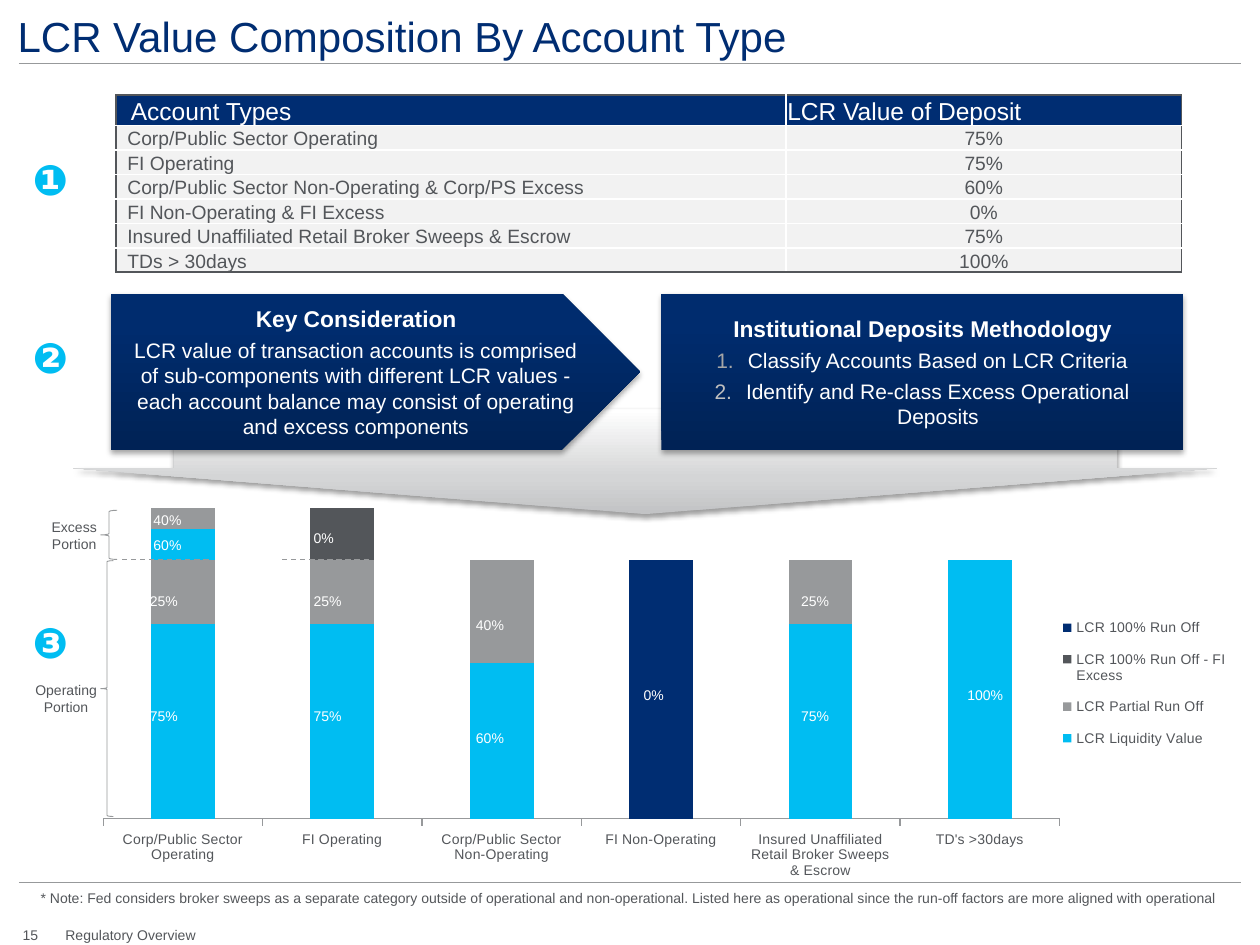
from dataclasses import dataclass
from typing import Any

from pptx import Presentation
from pptx.chart.data import CategoryChartData
from pptx.dml.color import RGBColor
from pptx.enum.chart import XL_CHART_TYPE, XL_LEGEND_POSITION, XL_TICK_LABEL_POSITION, XL_TICK_MARK
from pptx.enum.dml import MSO_LINE
from pptx.enum.shapes import MSO_CONNECTOR, MSO_SHAPE
from pptx.enum.text import MSO_ANCHOR, PP_ALIGN
from pptx.oxml import parse_xml
from pptx.oxml.ns import nsdecls, qn
from pptx.util import Pt

NAVY, CYAN, GRAY, SLATE, WHITE, PALE = "002D72", "00BDF2", "97999B", "53565A", "FFFFFF", "F2F2F2"
PANEL_STOPS = [(0, "002255"), (80, "002C6E"), (100, "002C6F")]
ARROW_STOPS = [(0, "C2C3C5"), (35, "D4D5D6"), (100, WHITE)]


@dataclass
class Label:
    text: str
    left: float
    top: float
    width: float
    height: float
    size: float = 8
    color: str = SLATE
    bold: bool = False
    align: Any = PP_ALIGN.CENTER
    inset: float = 3.6
    wrap: bool = True


@dataclass
class Rule:
    left: float
    right: float
    top: float
    width: float = 0.5
    dashed: bool = False


@dataclass
class Series:
    name: str
    values: list
    color: str


def rgb(color: str) -> RGBColor:
    return RGBColor.from_string(color)


def style(para: Any, size: float, color: str, bold: bool = False, align: Any = PP_ALIGN.CENTER) -> None:
    para.alignment = align
    for span in para.runs:
        span.font.name = "Arial"
        span.font.size = Pt(size)
        span.font.bold = bold
        span.font.color.rgb = rgb(color)


def add_label(page: Any, label: Label) -> None:
    box = page.shapes.add_textbox(Pt(label.left), Pt(label.top), Pt(label.width), Pt(label.height))
    frame = box.text_frame
    frame.text = label.text
    frame.word_wrap = label.wrap
    frame.margin_left = frame.margin_right = 0
    frame.margin_top = frame.margin_bottom = Pt(label.inset)
    style(frame.paragraphs[0], label.size, label.color, label.bold, label.align)


def add_rule(page: Any, rule: Rule) -> None:
    line = page.shapes.add_connector(
        MSO_CONNECTOR.STRAIGHT, Pt(rule.left), Pt(rule.top), Pt(rule.right), Pt(rule.top))
    line.line.color.rgb = rgb(GRAY)
    line.line.width = Pt(rule.width)
    if rule.dashed:
        line.line.dash_style = MSO_LINE.DASH
    line._element.spPr.append(parse_xml(f"<a:effectLst {nsdecls('a')}/>"))


def add_panel(page: Any, kind: Any, bounds: tuple, stops: list, opacity: int) -> Any:
    panel = page.shapes.add_shape(kind, *map(Pt, bounds))
    panel.line.fill.background()
    panel.fill.gradient()
    panel.fill.gradient_angle = 90
    properties = panel._element.spPr
    stop_list = properties.find(qn("a:gradFill")).find(qn("a:gsLst"))
    for stop in list(stop_list):
        stop_list.remove(stop)
    for position, color in stops:
        stop_list.append(parse_xml(
            f'<a:gs {nsdecls("a")} pos="{position * 1000}"><a:srgbClr val="{color}"/></a:gs>'))
    panel.shadow.inherit = False
    properties.find(qn("a:effectLst")).append(parse_xml(
        f'<a:outerShdw {nsdecls("a")} blurRad="{Pt(3.1)}" dist="{Pt(1.7)}" dir="5400000" '
        f'rotWithShape="0"><a:srgbClr val="000000"><a:alpha val="{opacity * 1000}"/>'
        '</a:srgbClr></a:outerShdw>'))
    return panel


def write_panel(panel: Any, heading: str, lines: list[str], bullet_colors: list[str]) -> None:
    frame = panel.text_frame
    frame.word_wrap = True
    frame.vertical_anchor = MSO_ANCHOR.MIDDLE
    frame.text = "\n".join([heading, *lines])
    for index, para in enumerate(frame.paragraphs):
        style(para, 12 if index else 13, WHITE, index == 0)
        para.space_before = Pt(3)
    for para, color in zip(frame.paragraphs[1:], bullet_colors):
        properties = para._p.get_or_add_pPr()
        properties.set("marL", str(Pt(18)))
        properties.set("indent", str(-Pt(18)))
        properties.append(parse_xml(f'<a:buClr {nsdecls("a")}><a:srgbClr val="{color}"/></a:buClr>'))
        properties.append(parse_xml(f'<a:buAutoNum {nsdecls("a")} type="arabicPeriod"/>'))


def add_brace(page: Any, bounds: tuple) -> None:
    brace = page.shapes.add_shape(MSO_SHAPE.LEFT_BRACE, *map(Pt, bounds))
    brace.shadow.inherit = False
    brace.fill.background()
    brace.line.color.rgb = rgb(GRAY)
    brace.line.width = Pt(0.5)


def add_account_table(page: Any, rows: list[tuple[str, str]]) -> None:
    table = page.shapes.add_table(len(rows), 2, Pt(66.2), Pt(54.2), Pt(609.1), Pt(101.4)).table
    table.columns[0].width, table.columns[1].width = Pt(383), Pt(226.1)
    last = len(rows) - 1
    for row_index, values in enumerate(rows):
        header = row_index == 0
        table.rows[row_index].height = Pt(17.4 if header else 14)
        for column, value in enumerate(values):
            cell = table.cell(row_index, column)
            cell.text = value
            cell.vertical_anchor = MSO_ANCHOR.BOTTOM
            cell.margin_left = Pt((8.6 if header else 6.6) if column == 0 else 0.7)
            cell.margin_right = cell.margin_top = Pt(0.7)
            cell.margin_bottom = 0
            cell.fill.solid()
            cell.fill.fore_color.rgb = rgb(NAVY if header else PALE)
            align = PP_ALIGN.CENTER if column and not header else PP_ALIGN.LEFT
            style(cell.text_frame.paragraphs[0], 14 if header else 11, WHITE if header else SLATE, align=align)
            outer = {"L": column == 0, "R": column == 1, "T": header, "B": row_index == last}
            for place, (side, dark) in enumerate(outer.items()):
                cell._tc.get_or_add_tcPr().insert(place, parse_xml(
                    f'<a:ln{side} {nsdecls("a")} w="{Pt(1)}"><a:solidFill>'
                    f'<a:srgbClr val="{SLATE if dark else WHITE}"/></a:solidFill></a:ln{side}>'))


def layout_xml(x: float, y: float, width: float, height: float, target: str = "") -> Any:
    return parse_xml(
        f'<c:layout {nsdecls("c")}><c:manualLayout>{target}<c:xMode val="edge"/><c:yMode val="edge"/>'
        f'<c:x val="{x}"/><c:y val="{y}"/><c:w val="{width}"/><c:h val="{height}"/>'
        '</c:manualLayout></c:layout>')


def add_composition_chart(page: Any, categories: list[str], series: list[Series]) -> None:
    data = CategoryChartData()
    data.categories = categories
    for item in series:
        data.add_series(item.name, item.values)
    chart = page.shapes.add_chart(
        XL_CHART_TYPE.COLUMN_STACKED, Pt(47.5), Pt(249.8), Pt(673.9), Pt(252), data).chart
    chart.has_title = False
    chart.font.name, chart.font.size = "Arial", Pt(8)
    chart.font.color.rgb = rgb(SLATE)
    plot = chart.plots[0]
    plot.gap_width, plot.overlap, plot.vary_by_categories = 150, 100, False
    for drawn, item in zip(plot.series, series):
        drawn.format.fill.solid()
        drawn.format.fill.fore_color.rgb = rgb(item.color)
    chart.value_axis.minimum_scale, chart.value_axis.maximum_scale = 0, 140
    chart.value_axis.has_major_gridlines = False
    chart.value_axis.visible = False
    axis = chart.category_axis
    axis.major_tick_mark = XL_TICK_MARK.OUTSIDE
    axis.tick_label_position = XL_TICK_LABEL_POSITION.LOW
    axis.format.line.color.rgb = rgb(GRAY)
    chart.has_legend = True
    legend = chart.legend
    legend.position = XL_LEGEND_POSITION.RIGHT
    legend.include_in_layout = False
    position = legend._element.find(qn("c:legendPos"))
    for old in legend._element.findall(qn("c:layout")):
        legend._element.remove(old)
    position.addnext(layout_xml(0.82, 0.38, 0.16, 0.36))
    for index in (3, 2):
        position.addnext(parse_xml(
            f'<c:legendEntry {nsdecls("c")}><c:idx val="{index}"/><c:delete val="1"/></c:legendEntry>'))
    area = chart._chartSpace.chart.plotArea
    for old in area.findall(qn("c:layout")):
        area.remove(old)
    area.insert(0, layout_xml(0.017, 0.044, 0.811, 0.825, '<c:layoutTarget val="inner"/>'))


def main() -> None:
    deck = Presentation()
    deck.slide_width, deck.slide_height = Pt(720), Pt(540)
    page = deck.slides.add_slide(deck.slide_layouts[6])
    for top in (504, 36):
        add_rule(page, Rule(10.8, 709.2, top))
    arrow = add_panel(page, MSO_SHAPE.DOWN_ARROW, (41.8, 234, 653.8, 59.8), ARROW_STOPS, 38)
    arrow.adjustments[0], arrow.adjustments[1] = 0.824, 0.439
    add_composition_chart(page, [
        "Corp/Public Sector Operating", "FI Operating", "Corp/Public Sector Non-Operating",
        "FI Non-Operating", "Insured Unaffiliated Retail Broker Sweeps & Escrow", "TD's >30days",
    ], [
        Series("LCR Liquidity Value", [75, 75, 60, None, 75, 100], CYAN),
        Series("LCR Partial Run Off", [25, 25, 40, None, 25, None], GRAY),
        Series("Series 3", [12] + [None] * 5, CYAN),
        Series("Series 4", [8] + [None] * 5, GRAY),
        Series("LCR 100% Run Off - FI Excess", [None, 20] + [None] * 4, SLATE),
        Series("LCR 100% Run Off", [None] * 3 + [100, None, None], NAVY),
    ])
    add_label(page, Label("LCR Value Composition By Account Type", 10.1, 5.8, 686.9, 28.8, 24, NAVY,
                          align=PP_ALIGN.LEFT, inset=0))
    for left in (161.3, 69.8):
        add_rule(page, Rule(left, left + 50.4, 319.7, 0.75, True))
    add_label(page, Label("Excess Portion", 22.3, 293, 40.3, 26.6))
    add_label(page, Label("Operating Portion", 11.5, 385.9, 52.6, 26.6))
    add_brace(page, (57.6, 291.6, 9.4, 28.1))
    add_brace(page, (57.6, 320.4, 7.2, 146.2))
    add_label(page, Label(
        "* Note: Fed considers broker sweeps as a separate category outside of operational and "
        "non-operational. Listed here as operational since the run-off factors are more aligned "
        "with operational", 10.8, 504.7, 697.7, 17.3))
    for text, left, top in [
        ("75%", 77.8, 401), ("75%", 171.4, 401), ("75%", 450, 401), ("60%", 264.2, 413.3),
        ("60%", 79.9, 303.1), ("40%", 79.9, 288.7), ("25%", 77.8, 334.8), ("25%", 171.4, 334.8),
        ("40%", 264.2, 348.5), ("0%", 357.8, 388.8), ("0%", 169.2, 298.8), ("25%", 450, 334.8),
        ("100%", 543.6, 388.8),
    ]:
        add_label(page, Label(text, left, top, 38.9 if text == "100%" else 31.7, 17.3, color=WHITE))
    consideration = add_panel(page, MSO_SHAPE.PENTAGON, (63.4, 167.8, 302.4, 89.3), PANEL_STOPS, 35)
    write_panel(consideration, "Key Consideration", [
        "LCR value of transaction accounts is comprised of sub-components with different LCR values - "
        "each account balance may consist of operating and excess components"], [])
    methodology = add_panel(page, MSO_SHAPE.RECTANGLE, (378, 167.8, 298.1, 89.3), PANEL_STOPS, 35)
    write_panel(methodology, "Institutional Deposits Methodology", [
        "Classify Accounts Based on LCR Criteria",
        "Identify and Re-class Excess Operational Deposits"], ["A6A6A6", "BFBFBF"])
    add_account_table(page, [
        ("Account Types", "LCR Value of Deposit"),
        ("Corp/Public Sector Operating", "75%"),
        ("FI Operating", "75%"),
        ("Corp/Public Sector Non-Operating & Corp/PS Excess", "60%"),
        ("FI Non-Operating & FI Excess", "0%"),
        ("Insured Unaffiliated Retail Broker Sweeps & Escrow", "75%"),
        ("TDs > 30days", "100%"),
    ])
    for number, top in (("❶", 84.2), ("❷", 185.8), ("❸", 348.5)):
        add_label(page, Label(number, 10.8, top, 36, 36, 24, CYAN, True, wrap=False))
    for text, left, width in (("15", 13, 9), ("Regulatory Overview", 37.4, 75)):
        add_label(page, Label(text, left, 529.2, width, 9.4, align=PP_ALIGN.LEFT, inset=0, wrap=False))
    deck.save("out.pptx")


if __name__ == "__main__":
    main()
